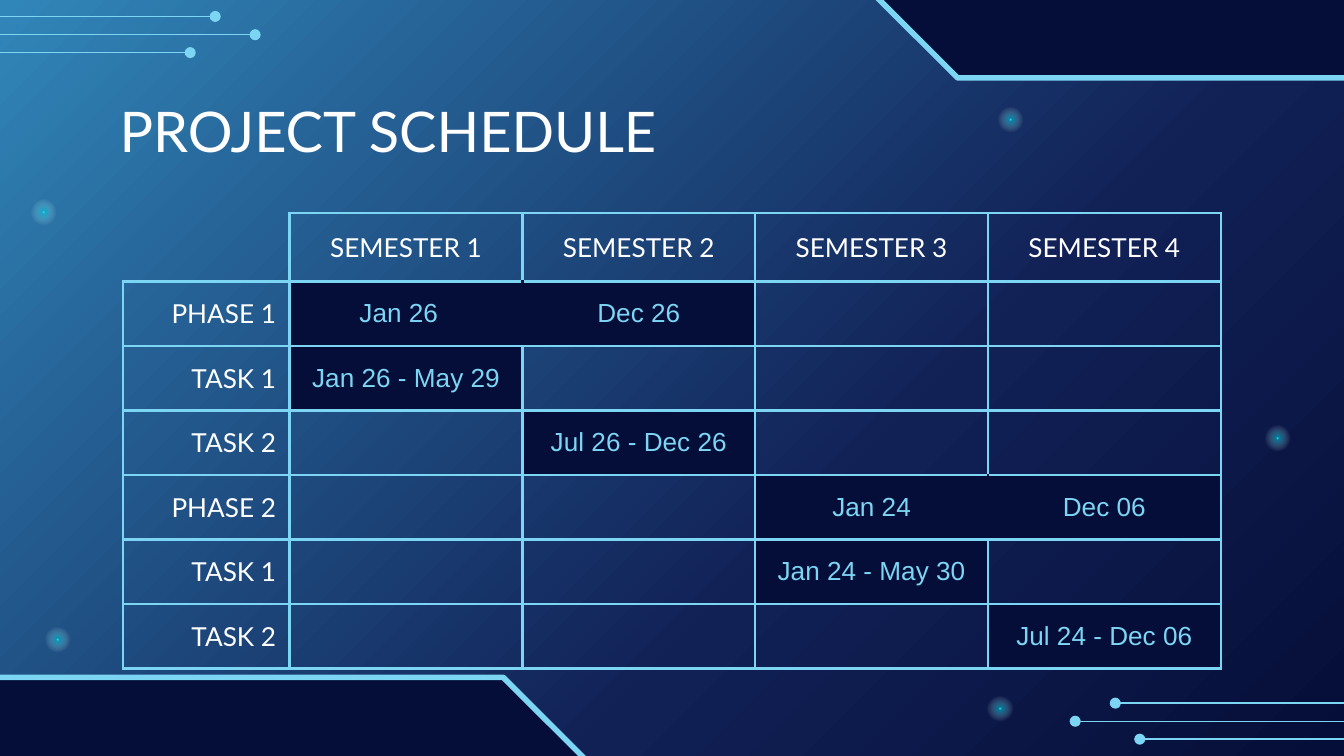
from lxml import etree
from pptx import Presentation
from pptx.enum import shapes, text
from pptx.oxml import ns
from pptx.util import Pt

# Content
TITLE = "PROJECT SCHEDULE"
SEMESTERS = ["SEMESTER 1", "SEMESTER 2", "SEMESTER 3", "SEMESTER 4"]
SCHEDULE = [  # row label, {semester number: dates}
    ("PHASE 1", {1: "Jan 26", 2: "Dec 26"}),
    ("TASK 1", {1: "Jan 26 - May 29"}),
    ("TASK 2", {2: "Jul 26 - Dec 26"}),
    ("PHASE 2", {3: "Jan 24", 4: "Dec 06"}),
    ("TASK 1", {3: "Jan 24 - May 30"}),
    ("TASK 2", {4: "Jul 24 - Dec 06"}),
]

# Look
COLORS = {"navy": "050E38", "indigo": "112055", "blue": "3186B9",
          "sky": "7CD5F3", "white": "FFFFFF", "cyan": "21FFFF", "teal": "05D8E7"}
BACKDROP = [(0, "blue", 100), (64, "indigo", 100), (100, "navy", 100)]
GLOW = [(0, "cyan", 100), (9, "teal", 48), (69, "white", 0), (100, "white", 0)]
LINEAR = '<a:lin ang="2700000" scaled="0"/>'
RADIAL = ('<a:path path="circle"><a:fillToRect l="50000" t="50000" '
          'r="50000" b="50000"/></a:path>')

# Places, in points
SLIDE_W, SLIDE_H = 720, 405
PANELS = [(-53.3, 362.9, 0), (462.2, -59.8, 180)]  # left, top, rotation
PANEL_W, PANEL_H = 373.7, 101.5
CIRCUITS = [  # start x, end x, y
    (-29.5, 136.7, 18.6), (-64.8, 101.9, 28.2), (-51.1, 115.3, 8.8),
    (742.3, 576, 386.4), (776.9, 610.6, 396), (763.9, 597.5, 376.7),
]
GLOWS = [(534.3, 57), (16.3, 106.6), (677.5, 227.8), (23.8, 335.8), (528.7, 372.6)]
GLOW_SIZE = 14
TABLE_LEFT, TABLE_TOP = 65.9, 114.1
LABEL_W, SEMESTER_W = 89.3, 124.7
HEADER_H, ROW_H = 36.8, 34.55


def rgb(color):
    return ns_color.from_string(COLORS[color])


def xml(markup):
    return etree.fromstring(markup.replace(">", f" {ns.nsdecls('a')}>", 1)
                            if not markup.split(">", 1)[0].endswith("/")
                            else markup.replace("/>", f" {ns.nsdecls('a')}/>", 1))


def gradient(stops, direction):
    marks = "".join(
        f'<a:gs pos="{at * 1000}"><a:srgbClr val="{COLORS[color]}">'
        f'<a:alpha val="{alpha * 1000}"/></a:srgbClr></a:gs>'
        for at, color, alpha in stops)
    return xml(f"<a:gradFill><a:gsLst>{marks}</a:gsLst>{direction}</a:gradFill>")


def set_gradient(fill, holder, stops, direction):
    fill.solid()
    holder.replace(holder.find(ns.qn("a:solidFill")), gradient(stops, direction))


def write(frame, words, size, font, color, align):
    frame.text = words
    paragraph = frame.paragraphs[0]
    paragraph.alignment = align
    run_font = paragraph.runs[0].font
    run_font.size, run_font.name = Pt(size), font
    run_font.color.rgb = rgb(color)


def set_borders(cell, sides):
    """sides: colours for left, right, top, bottom; None hides a side."""
    properties = cell._tc.get_or_add_tcPr()
    for i, (side, color) in enumerate(zip("LRTB", sides)):
        paint = (f'<a:solidFill><a:srgbClr val="{COLORS[color]}"/></a:solidFill>'
                 if color else "<a:noFill/>")
        properties.insert(i, xml(f'<a:ln{side} w="{Pt(1.5)}">{paint}</a:ln{side}>'))


from pptx.dml import color as dml_color
ns_color = dml_color.RGBColor

deck = Presentation()
deck.slide_width, deck.slide_height = Pt(SLIDE_W), Pt(SLIDE_H)
slide = deck.slides.add_slide(deck.slide_layouts[5])

# Background
background_fill = slide.background.fill
background_fill.solid()
set_gradient(background_fill, slide.element.find(".//" + ns.qn("p:bgPr")), BACKDROP, LINEAR)

# Corner panels
for left, top, rotation in PANELS:
    panel = slide.shapes.add_shape(shapes.MSO_SHAPE.SNIP_2_SAME_RECTANGLE,
                                   Pt(left), Pt(top), Pt(PANEL_W), Pt(PANEL_H))
    panel.adjustments[0], panel.adjustments[1] = 0.5, 0
    panel.rotation = rotation
    panel.shadow.inherit = False
    panel.fill.solid()
    panel.fill.fore_color.rgb = rgb("navy")
    panel.line.color.rgb = rgb("sky")
    panel.line.width = Pt(3)

# Circuit lines ending in dots
for start, end, y in CIRCUITS:
    circuit = slide.shapes.add_connector(shapes.MSO_CONNECTOR.STRAIGHT,
                                         Pt(start), Pt(y), Pt(end), Pt(y))
    circuit.line.color.rgb = rgb("sky")
    circuit.line.width = Pt(0.75)
    circuit.line._get_or_add_ln().append(xml('<a:tailEnd type="oval"/>'))
    circuit._element.spPr.append(xml("<a:effectLst/>"))

# Glowing dots
for left, top in GLOWS:
    glow = slide.shapes.add_shape(shapes.MSO_SHAPE.OVAL, Pt(left), Pt(top),
                                  Pt(GLOW_SIZE), Pt(GLOW_SIZE))
    glow.shadow.inherit = False
    glow.line.fill.background()
    set_gradient(glow.fill, glow._element.spPr, GLOW, RADIAL)

# Title
title = slide.shapes.title
title.left, title.top, title.width, title.height = Pt(56.9), Pt(46.8), Pt(607), Pt(45.4)
write(title.text_frame, TITLE, 30, "Lato", "white", text.PP_ALIGN.LEFT)
title.text_frame.vertical_anchor = text.MSO_ANCHOR.MIDDLE
for side in ("left", "right", "top", "bottom"):
    setattr(title.text_frame, "margin_" + side, Pt(7.2))

# Schedule table
row_count, column_count = len(SCHEDULE) + 1, len(SEMESTERS) + 1
schedule = slide.shapes.add_table(
    row_count, column_count, Pt(TABLE_LEFT), Pt(TABLE_TOP),
    Pt(LABEL_W + SEMESTER_W * len(SEMESTERS)),
    Pt(HEADER_H + ROW_H * len(SCHEDULE))).table
schedule.first_row = schedule.horz_banding = False
for c, column in enumerate(schedule.columns):
    column.width = Pt(SEMESTER_W if c else LABEL_W)
for r, row in enumerate(schedule.rows):
    row.height = Pt(ROW_H if r else HEADER_H)

for r in range(row_count):
    label, dates = SCHEDULE[r - 1] if r else ("", dict(enumerate(SEMESTERS, 1)))
    for c in range(column_count):
        cell = schedule.cell(r, c)
        words = dates.get(c, "") if c else label
        booked = bool(r and c and words)
        cell.vertical_anchor = text.MSO_ANCHOR.MIDDLE
        cell.margin_left = cell.margin_right = Pt(7.2)
        cell.margin_top = cell.margin_bottom = Pt(7.2 if words else 0)
        if booked:
            cell.fill.solid()
            cell.fill.fore_color.rgb = rgb("navy")
        else:
            cell.fill.background()
        if words:
            write(cell.text_frame, words, 14, "Arial" if booked else "Lato",
                  "sky" if booked else "white",
                  text.PP_ALIGN.CENTER if c else text.PP_ALIGN.RIGHT)
        # Neighbouring booked cells run together; the corner cell is open
        corner = r == c == 0
        left = "navy" if booked and c - 1 in dates else None if corner else "sky"
        right = "navy" if booked and c + 1 in dates else "sky"
        set_borders(cell, (left, right, None if corner else "sky", "sky"))
schedule.cell(1, 1).margin_right = Pt(15)

deck.save("out.pptx")
